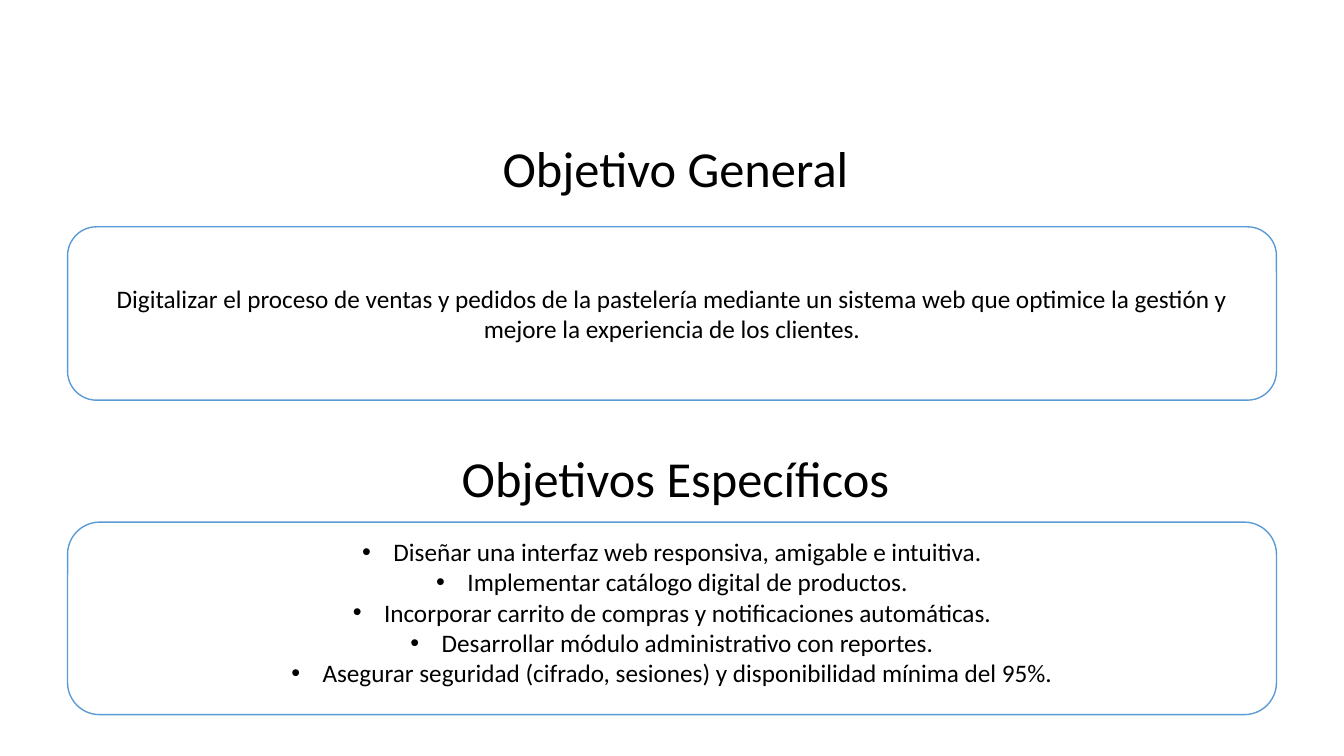
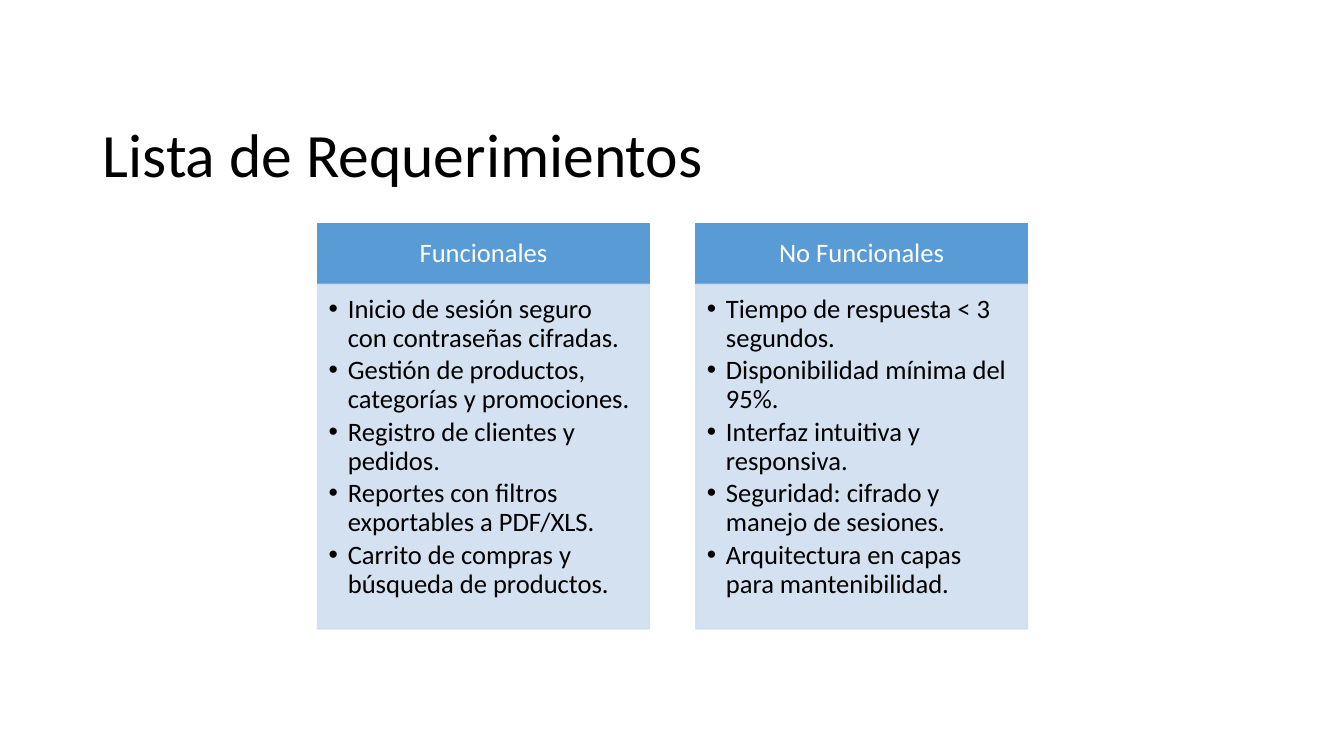
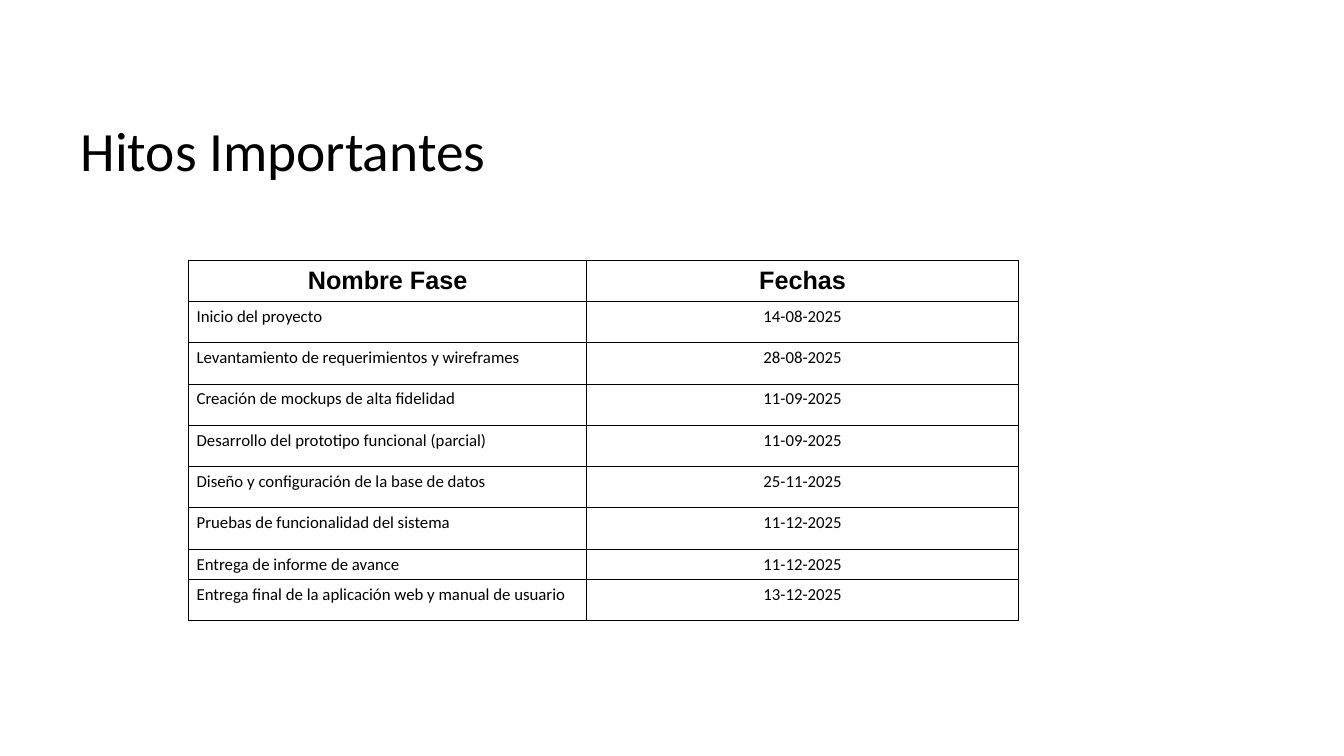
from lxml.etree import SubElement
from pptx import Presentation
from pptx.dml.color import RGBColor
from pptx.enum.shapes import MSO_SHAPE as SHAPE
from pptx.enum.text import MSO_ANCHOR as ANCHOR, PP_ALIGN as ALIGN
from pptx.oxml.ns import qn
from pptx.util import Inches, Pt

COLORS = {
    "text": "000000",
    "paper": "FFFFFF",
    "outline": "5B9BD5",
    "header": "599BD5",
    "panel": "CFDEEF",
}
FONT = "Calibri"
TABLE_HEAD_FONT = "Arial"
INSETS = (0.1, 0.05, 0.1, 0.05)

GENERAL = [
    "Digitalizar el proceso de ventas y pedidos de la pastelería mediante un "
    "sistema web que optimice la gestión y mejore la experiencia de los clientes."
]
SPECIFIC = [
    "Diseñar una interfaz web responsiva, amigable e intuitiva.",
    "Implementar catálogo digital de productos.",
    "Incorporar carrito de compras y notificaciones automáticas.",
    "Desarrollar módulo administrativo con reportes.",
    "Asegurar seguridad (cifrado, sesiones) y disponibilidad mínima del 95%.",
]
REQUIREMENTS = {
    "Funcionales": [
        "Inicio de sesión seguro con contraseñas cifradas.",
        "Gestión de productos, categorías y promociones.",
        "Registro de clientes y pedidos.",
        "Reportes con filtros exportables a PDF/XLS.",
        "Carrito de compras y búsqueda de productos.",
    ],
    "No Funcionales": [
        "Tiempo de respuesta < 3 segundos.",
        "Disponibilidad mínima del 95%.",
        "Interfaz intuitiva y responsiva.",
        "Seguridad: cifrado y manejo de sesiones.",
        "Arquitectura en capas para mantenibilidad.",
    ],
}
MILESTONES = [
    ("Nombre Fase", "Fechas"),
    ("Inicio del proyecto", "14-08-2025"),
    ("Levantamiento de requerimientos y wireframes", "28-08-2025"),
    ("Creación de mockups de alta fidelidad", "11-09-2025"),
    ("Desarrollo del prototipo funcional (parcial)", "11-09-2025"),
    ("Diseño y configuración de la base de datos", "25-11-2025"),
    ("Pruebas de funcionalidad del sistema", "11-12-2025"),
    ("Entrega de informe de avance", "11-12-2025"),
    ("Entrega final de la aplicación web y manual de usuario", "13-12-2025"),
]


def rgb(name):
    return RGBColor.from_string(COLORS[name])


def add_bullet(p, indent):
    pPr = p._p.get_or_add_pPr()
    pPr.set("marL", str(Inches(indent)))
    pPr.set("indent", str(-Inches(indent)))
    SubElement(pPr, qn("a:buFont")).set("typeface", "Arial")
    SubElement(pPr, qn("a:buChar")).set("char", "•")


def write(tf, lines, size, color="text", align=ALIGN.LEFT, font=FONT, bold=False,
          indent=None, spacing=None, before=0):
    tf.word_wrap = True
    for i, line in enumerate(lines):
        p = tf.paragraphs[0] if i == 0 else tf.add_paragraph()
        p.text = line
        p.alignment = align
        if indent:
            add_bullet(p, indent)
        if spacing:
            p.line_spacing = spacing
        if i and before:
            p.space_before = Pt(before)
        for r in p.runs:
            r.font.name = font
            r.font.size = Pt(size)
            r.font.bold = bold
            r.font.color.rgb = rgb(color)


def set_insets(box, insets):
    sides = ("margin_left", "margin_top", "margin_right", "margin_bottom")
    for side, inset in zip(sides, insets):
        setattr(box, side, Inches(inset))


def add_box(s, kind, box, fill, line, anchor, insets=INSETS):
    sp = s.shapes.add_shape(kind, *map(Inches, box))
    sp.shadow.inherit = False
    sp.fill.solid()
    sp.fill.fore_color.rgb = rgb(fill)
    sp.line.color.rgb = rgb(line)
    sp.line.width = Pt(1)
    sp.text_frame.vertical_anchor = anchor
    set_insets(sp.text_frame, insets)
    return sp


def add_title(s, box, text, size, align=ALIGN.LEFT, anchor=ANCHOR.MIDDLE, spacing=0.9):
    tf = s.shapes.add_textbox(*map(Inches, box)).text_frame
    tf.vertical_anchor = anchor
    set_insets(tf, INSETS)
    write(tf, [text], size, align=align, spacing=spacing)


def add_objective(s, title_top, title, box, lines, anchor, indent=None):
    sp = add_box(s, SHAPE.ROUNDED_RECTANGLE, box, "paper", "outline", anchor)
    write(sp.text_frame, lines, 18, align=ALIGN.CENTER, indent=indent)
    add_title(s, (0.17, title_top, 13.06, 0.71), title, 36, ALIGN.CENTER, ANCHOR.TOP, None)


def add_requirement_column(s, box, title, items):
    left, top, width, height = box
    header_height = 0.6
    header = add_box(s, SHAPE.RECTANGLE, (left, top, width, header_height),
                     "header", "header", ANCHOR.MIDDLE, (0.15, 0.08, 0.15, 0.08))
    write(header.text_frame, [title], 19, "paper", ALIGN.CENTER, spacing=0.9)
    panel = add_box(s, SHAPE.RECTANGLE,
                    (left, top + header_height, width, height - header_height),
                    "panel", "panel", ANCHOR.TOP, (0.11, 0.11, 0.15, 0.17))
    for color in panel._element.spPr.iter(qn("a:srgbClr")):
        SubElement(color, qn("a:alpha")).set("val", "90000")
    write(panel.text_frame, items, 19, indent=0.19, spacing=0.9, before=2.9)


def add_cell_borders(cell):
    tcPr = cell._tc.get_or_add_tcPr()
    for side in ("lnL", "lnR", "lnT", "lnB"):
        ln = SubElement(tcPr, qn(f"a:{side}"), w=str(Pt(0.75)))
        fill = SubElement(ln, qn("a:solidFill"))
        SubElement(fill, qn("a:srgbClr")).set("val", COLORS["text"])


def add_milestone_table(s, left, top, widths, heights, rows):
    table = s.shapes.add_table(
        len(rows), len(widths), Inches(left), Inches(top),
        Inches(sum(widths)), Inches(sum(heights))).table
    table.first_row = table.horz_banding = False
    for column, width in zip(table.columns, widths):
        column.width = Inches(width)
    for i, values in enumerate(rows):
        table.rows[i].height = Inches(heights[i])
        head = i == 0
        for j, value in enumerate(values):
            cell = table.cell(i, j)
            add_cell_borders(cell)
            cell.fill.background()
            cell.vertical_anchor = ANCHOR.MIDDLE if head else ANCHOR.TOP
            set_insets(cell, INSETS if head else (0.08, 0.05, 0.08, 0.05))
            write(cell.text_frame, [value], 18 if head else 12,
                  align=ALIGN.CENTER if head or j else ALIGN.LEFT,
                  font=TABLE_HEAD_FONT if head else FONT, bold=head)


def objectives_slide(s):
    add_objective(s, 1.31, "Objetivo General", (0.67, 2.25, 11.99, 1.72),
                  GENERAL, ANCHOR.MIDDLE)
    add_objective(s, 4.39, "Objetivos Específicos", (0.67, 5.18, 11.99, 1.91),
                  SPECIFIC, ANCHOR.TOP, 0.31)


def requirements_slide(s):
    add_title(s, (0.92, 1.15, 11.5, 0.82), "Lista de Requerimientos", 44)
    for i, (title, items) in enumerate(REQUIREMENTS.items()):
        add_requirement_column(s, (3.15 + i * 3.75, 2.22, 3.29, 4.02), title, items)


def milestones_slide(s):
    add_title(s, (0.7, 1.17, 11.5, 0.7), "Hitos Importantes", 39.6)
    heights = [0.41] * 7 + [0.3, 0.41]
    add_milestone_table(s, 1.87, 2.58, (3.95, 4.28), heights, MILESTONES)


def main():
    prs = Presentation()
    prs.slide_width = Inches(13.33)
    prs.slide_height = Inches(7.5)
    for build in (objectives_slide, requirements_slide, milestones_slide):
        build(prs.slides.add_slide(prs.slide_layouts[6]))
    prs.save("out.pptx")


if __name__ == "__main__":
    main()
